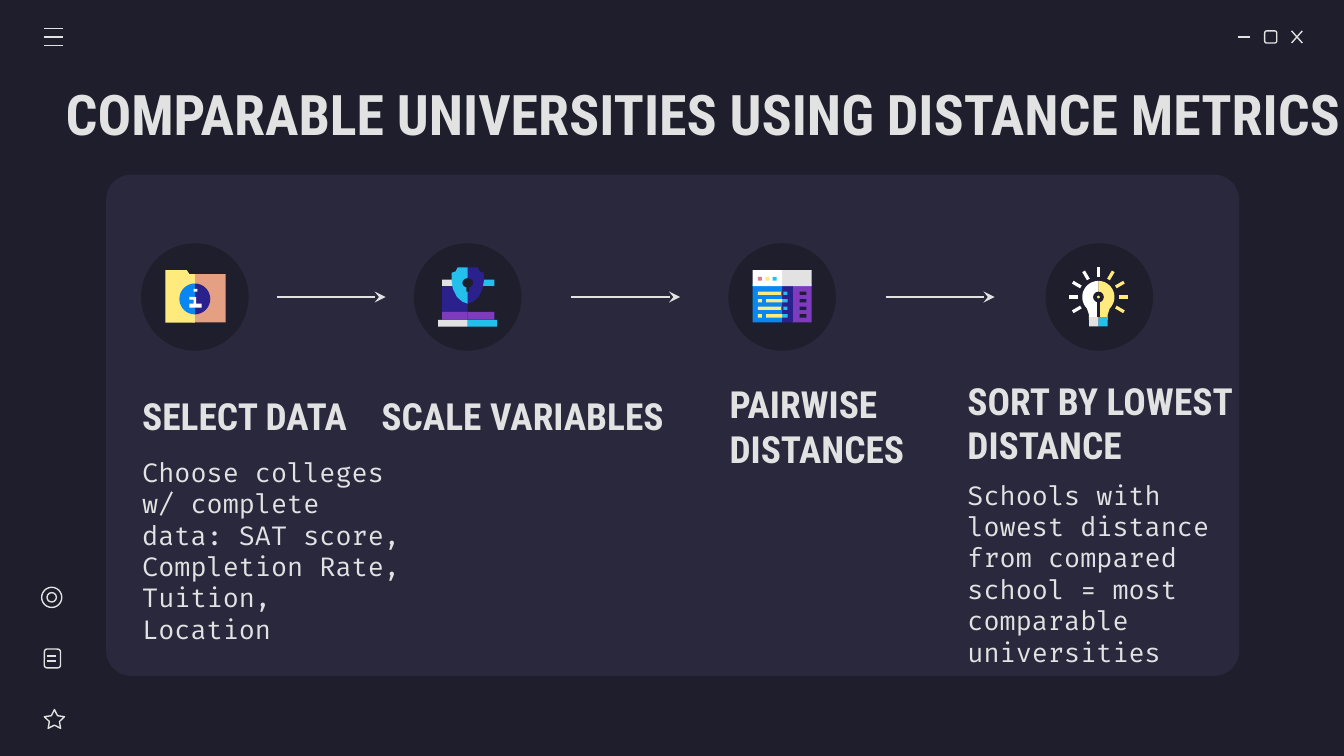
import math
import pptx
import pptx.util
import pptx.dml.color
import pptx.enum.shapes
import pptx.enum.text
import pptx.oxml
import pptx.oxml.ns

Inches = pptx.util.Inches
Kind = pptx.enum.shapes.MSO_SHAPE
HEX = {
    "night": "1E1E2C", "panel": "29283D", "mist": "E2E2E2", "white": "FFFFFF",
    "cream": "FFEA7D", "peach": "E5A083", "rose": "E07A88", "sky": "24BFEB",
    "blue": "0887F2", "navy": "2B218D", "plum": "7E3BBE",
}
HEAD, BODY = "Roboto Condensed", "Fira Code"


def tint(name):
    return pptx.dml.color.RGBColor.from_string(HEX[name])


def paint(shape, fill=None):
    shape.shadow.inherit = False
    if fill:
        shape.fill.solid()
        shape.fill.fore_color.rgb = tint(fill)
        shape.line.fill.background()
    else:
        shape.fill.background()
        shape.line.color.rgb = tint("mist")
        shape.line.width = pptx.util.Pt(0.75)
    return shape


def form(slide, kind, x, y, w, h, fill=None):
    shape = slide.shapes.add_shape(kind, Inches(x), Inches(y), Inches(w), Inches(h))
    return paint(shape, fill)


def stroke(slide, x1, y1, x2, y2, arrow=False):
    line = slide.shapes.add_connector(
        pptx.enum.shapes.MSO_CONNECTOR.STRAIGHT,
        Inches(x1), Inches(y1), Inches(x2), Inches(y2))
    line.line.color.rgb = tint("mist")
    line.line.width = pptx.util.Pt(0.75)
    props = line._element.spPr
    if arrow:
        tail = props.makeelement(pptx.oxml.ns.qn("a:tailEnd"), {"type": "stealth"})
        props.find(pptx.oxml.ns.qn("a:ln")).append(tail)
    props.append(props.makeelement(pptx.oxml.ns.qn("a:effectLst")))


def label(slide, box, text, size, font, bold=False):
    frame = slide.shapes.add_textbox(*map(Inches, box)).text_frame
    frame.word_wrap = True
    frame.vertical_anchor = pptx.enum.text.MSO_ANCHOR.MIDDLE
    frame.margin_left = frame.margin_right = Inches(0.1)
    frame.margin_top = frame.margin_bottom = Inches(0.1)
    frame.text = text
    for para in frame.paragraphs:
        for run in para.runs:
            run.font.size = pptx.util.Pt(size)
            run.font.name = font
            run.font.bold = bold
            run.font.color.rgb = tint("mist")


def block(slide, box, fill, x, y, w, h, kind=Kind.RECTANGLE):
    form(slide, kind, box[0] + x / 100, box[1] + y / 100, w / 100, h / 100, fill)


def poly(slide, box, fill, points):
    spots = [(Inches(box[0] + x / 100), Inches(box[1] + y / 100)) for x, y in points]
    pen = slide.shapes.build_freeform(*spots[0])
    pen.add_line_segments(spots[1:], close=True)
    paint(pen.convert_to_shape(), fill)


def curve(x, y, size, start, stop, count=16):
    turns = [math.radians(start + (stop - start) * i / count) for i in range(count + 1)]
    return [(x + size * math.cos(t), y + size * math.sin(t)) for t in turns]


def folder(slide, box):
    block(slide, box, "peach", 38, 23, 25, 36)
    poly(slide, box, "cream", [(18, 20), (18, 59), (40, 59), (40, 23), (36, 23), (34, 20)])
    poly(slide, box, "navy", curve(40, 41.5, 11.5, -90, 90))
    poly(slide, box, "blue", curve(40, 41.5, 11.5, 90, 270))
    poly(slide, box, "white", [(36, 40), (36, 42), (39, 42), (39, 45), (36, 45),
                               (36, 48), (45, 48), (45, 45), (41, 45), (41, 40)])
    block(slide, box, "white", 39, 34, 3, 2)


def laptop(slide, box):
    for y, h, left, right in ((27, 5, "mist", "sky"), (32, 19, "navy", "night"),
                              (51, 6, "plum", "plum")):
        block(slide, box, right, 40, y, 20, h)
        block(slide, box, left, 21, y, 19, h)
    block(slide, box, "sky", 40, 57, 22, 5)
    block(slide, box, "mist", 18, 57, 22, 5)
    for side, fill in ((1, "navy"), (-1, "sky")):
        edge = [(0, 18), (7.5, 18), (9, 21), (12, 22), (12, 28),
                (11, 34), (8, 40), (4, 43.5), (0, 45)]
        poly(slide, box, fill, [(40 + side * x, y) for x, y in edge])
    block(slide, box, "night", 39, 32, 2, 4)
    block(slide, box, "night", 36, 26, 8, 7, Kind.OVAL)


def window(slide, box):
    for fill, x, y, w, h in (("plum", 47, 30, 15, 29), ("navy", 40, 30, 8, 29),
                             ("blue", 18, 30, 22, 29), ("mist", 40, 20, 22, 12),
                             ("white", 18, 20, 22, 12)):
        block(slide, box, fill, x, y, w, h)
    for i, fill in enumerate(("rose", "cream", "sky")):
        block(slide, box, fill, 22 + 5.5 * i, 25, 3, 3)
    for i in range(4):
        y = 36 + 5.6 * i
        block(slide, box, "night", 53, y, 5, 2.5)
        if i % 2:
            block(slide, box, "cream", 22, y, 3, 2.5)
            block(slide, box, "cream", 28, y, 12, 2.5)
            block(slide, box, "sky", 40, y, 4, 2.5)
        else:
            block(slide, box, "cream", 22, y, 17, 2.5)
            block(slide, box, "sky", 41, y, 3, 2.5)


def bulb(slide, box):
    for side, fill in ((1, "cream"), (-1, "white")):
        edge = curve(0, 40, 12, -90, 45) + [(7, 53), (7, 57), (0, 57)]
        poly(slide, box, fill, [(39.3 + side * x, y) for x, y in edge])
    for i in range(9):
        turn = math.radians(150 + 30 * i)
        c, s = math.cos(turn), math.sin(turn)
        ends = ((15, -1.2), (22, -1.2), (22, 1.2), (15, 1.2))
        poly(slide, box, "white" if i < 5 else "cream",
             [(39.3 + r * c - t * s, 40 + r * s + t * c) for r, t in ends])
    block(slide, box, "night", 35.3, 36, 8, 8, Kind.OVAL)
    block(slide, box, "night", 38.3, 43, 2, 14)
    block(slide, box, "cream", 38.3, 39, 2, 2, Kind.OVAL)
    block(slide, box, "sky", 39.3, 55, 7, 7)
    block(slide, box, "mist", 32.3, 55, 7, 7)


def badge(slide, box, icon):
    form(slide, Kind.OVAL, *box, fill="night")
    icon(slide, box)


def menu(slide, box):
    x, y, w, h = box
    for i in range(3):
        stroke(slide, x, y + h * i / 2, x + w, y + h * i / 2)


def controls(slide, box):
    x, y, w, h = box
    stroke(slide, x, y + h / 2, x + 0.09, y + h / 2)
    form(slide, Kind.ROUNDED_RECTANGLE, x + 0.2, y, 0.09, h)
    stroke(slide, x + 0.4, y, x + w, y + h)
    stroke(slide, x + w, y, x + 0.4, y + h)


def sidebar(slide, box):
    x, y, w, h = box
    form(slide, Kind.OVAL, x, y, 0.15, 0.15)
    form(slide, Kind.OVAL, x + 0.04, y + 0.04, 0.07, 0.07)
    form(slide, Kind.ROUNDED_RECTANGLE, x + 0.02, y + 0.46, 0.12, 0.14)
    for drop in (0.51, 0.55):
        stroke(slide, x + 0.04, y + drop, x + 0.11, y + drop)
    star = form(slide, Kind.STAR_5_POINT, x + 0.02, y + h - 0.14, 0.15, 0.14)
    star.adjustments[0] = 0.25


def process(slide, box):
    x, y, w, h = box
    panel = form(slide, Kind.ROUNDED_RECTANGLE, *box, fill="panel")
    panel.adjustments[0] = 0.05
    for left, icon in ((0.26, folder), (2.29, laptop), (4.63, window), (6.99, bulb)):
        badge(slide, (x + left, y + 0.51, 0.8, 0.8), icon)
    for left in (1.27, 3.46, 5.8):
        stroke(slide, x + left, y + 0.91, x + left + 0.81, y + 0.91, True)
    for left, top, wide, high, text in (
            (0.17, 1.54, 2.02, 0.5, "SELECT DATA"),
            (1.95, 1.54, 2.73, 0.5, "SCALE VARIABLES"),
            (4.54, 1.62, 2.02, 0.5, "PAIRWISE\nDISTANCES"),
            (6.31, 1.48, 2.43, 0.73, "SORT BY LOWEST DISTANCE")):
        label(slide, (x + left, y + top, wide, high), text, 20, HEAD, True)
    for left, top, wide, text in (
            (0.17, 2.08, 2.16, "Choose colleges w/ complete data: SAT score, "
                               "Completion Rate, Tuition, Location"),
            (6.31, 2.25, 2.02, "Schools with lowest distance from compared "
                               "school = most comparable universities")):
        label(slide, (x + left, y + top, wide, 1.43), text, 14, BODY)


def main():
    deck = pptx.Presentation()
    deck.slide_width = Inches(10)
    deck.slide_height = deck.slide_width * 9 // 16
    slide = deck.slides.add_slide(deck.slide_layouts[6])
    slide.background.fill.solid()
    slide.background.fill.fore_color.rgb = tint("night")
    process(slide, (0.79, 1.3, 8.43, 3.73))
    controls(slide, (9.21, 0.23, 0.48, 0.09))
    label(slide, (0.39, 0.53, 10.07, 0.63),
          "COMPARABLE UNIVERSITIES USING DISTANCE METRICS", 30, HEAD, True)
    menu(slide, (0.33, 0.21, 0.14, 0.13))
    sidebar(slide, (0.31, 4.37, 0.17, 1.05))
    deck.save("out.pptx")


if __name__ == "__main__":
    main()
